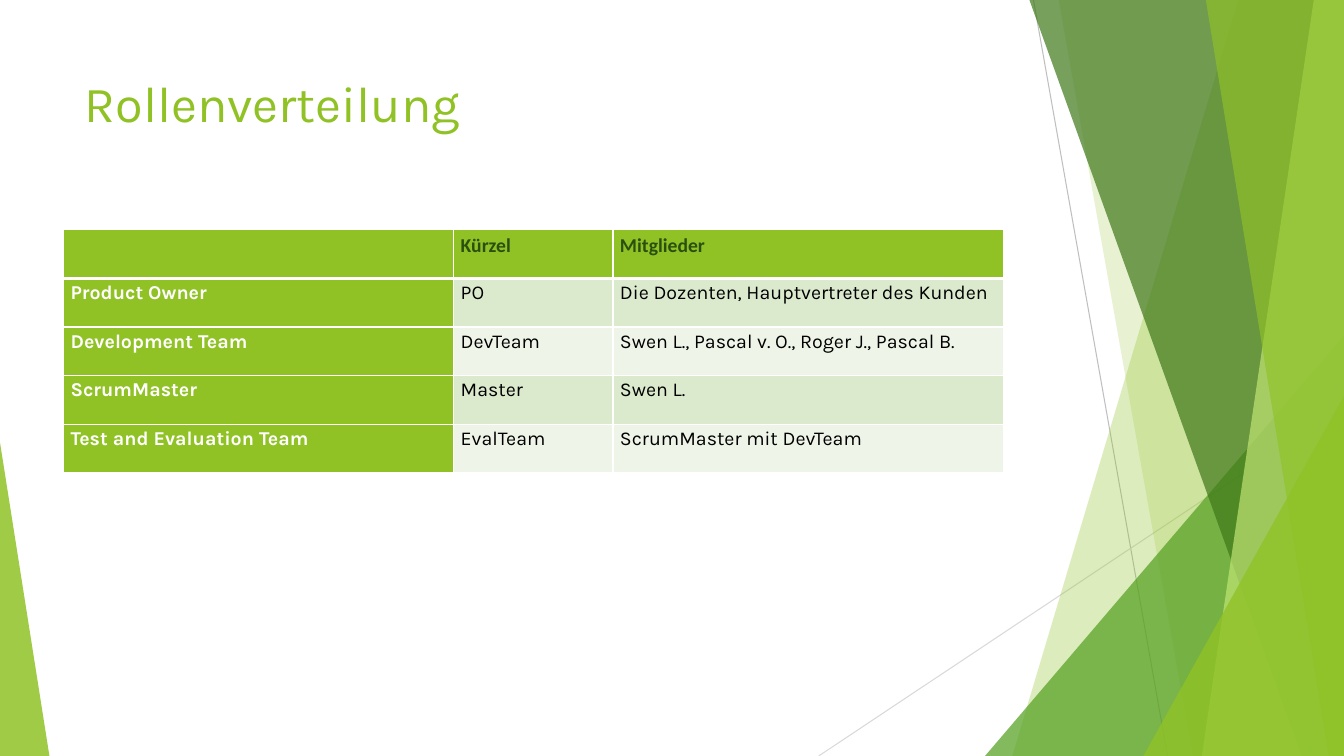
import pptx
import pptx.util
import pptx.oxml
import pptx.oxml.ns
import pptx.dml.color
import pptx.enum.shapes
import pptx.enum.text
from lxml import etree

Inches = pptx.util.Inches
Pt = pptx.util.Pt
qn = pptx.oxml.ns.qn
SHAPE = pptx.enum.shapes.MSO_SHAPE
LIME = "90C226"


def color(code):
    return pptx.dml.color.RGBColor.from_string(code)


def style(font, **look):
    font.color.rgb = color(look.pop("color"))
    for key, value in look.items():
        setattr(font, key, value)


def paint(shape, code, alpha):
    shape.shadow.inherit = False
    shape.fill.solid()
    shape.fill.fore_color.rgb = color(code)
    shape.line.fill.background()
    tint = shape.fill._xPr.find(".//" + qn("a:srgbClr"))
    etree.SubElement(tint, qn("a:alpha")).set("val", str(alpha * 1000))


def ray(slide, start, end, code):
    line = slide.shapes.add_connector(
        pptx.enum.shapes.MSO_CONNECTOR.STRAIGHT, *map(Inches, start + end))
    line.line.color.rgb = color(code)
    line.line.width = Pt(0.75)
    etree.SubElement(line._element.spPr, qn("a:effectLst"))


def shard(slide, box, top, foot, code, alpha):
    x, y, wide, high = box
    form = slide.shapes.build_freeform(Inches(x + top), Inches(y), scale=1)
    form.add_line_segments([(Inches(a), Inches(b)) for a, b in (
        (x + wide, y), (x + wide, y + high), (x + foot, y + high))])
    paint(form.convert_to_shape(), code, alpha)


def wedge(slide, box, apex, code, alpha):
    shape = slide.shapes.add_shape(SHAPE.ISOSCELES_TRIANGLE, *map(Inches, box))
    shape.adjustments[0] = apex
    paint(shape, code, alpha)


def decor(slide, box):
    x, y, wide, high = box
    right, foot = x + wide, y + high

    def corner(w, h, code, alpha):
        wedge(slide, (right - w, foot - h, w, h), 1, code, alpha)

    ray(slide, (x + 2.13, y), (x + 3.46, foot), "BFBFBF")
    ray(slide, (right, y + 4.03), (x, foot), "D9D9D9")
    shard(slide, box, 4.16, 1.92, LIME, 30)
    shard(slide, box, 2.38, 3.71, LIME, 20)
    corner(3.56, 4.17, "54A021", 72)
    shard(slide, box, 2.09, 4.79, "3F7819", 70)
    shard(slide, box, 4.91, 3.8, "C0E474", 70)
    shard(slide, box, 3.84, 5.06, LIME, 65)
    corner(1.99, 3.57, LIME, 80)


def title(slide, box, text):
    head = slide.shapes.title
    head.left, head.top, head.width, head.height = map(Inches, box)
    frame = head.text_frame
    frame.text = text
    frame.vertical_anchor = pptx.enum.text.MSO_ANCHOR.TOP
    para = frame.paragraphs[0]
    para.alignment = pptx.enum.text.PP_ALIGN.LEFT
    style(para.runs[0].font, name="Karla", size=Pt(36), bold=False, color=LIME)


def border(cell, foot):
    props = cell._tc.get_or_add_tcPr()
    for spot, side in enumerate("LRTB"):
        edge = etree.Element(qn("a:ln" + side))
        edge.set("w", str(Pt(foot if side == "B" else 1)))
        fill = etree.SubElement(edge, qn("a:solidFill"))
        etree.SubElement(fill, qn("a:srgbClr")).set("val", "FFFFFF")
        props.insert(spot, edge)


def roles(slide, box, cols, rows):
    grid = slide.shapes.add_table(len(rows), len(cols), *map(Inches, box)).table
    for col, wide in zip(grid.columns, cols):
        col.width = Inches(wide)
    for r, row in enumerate(rows):
        grid.rows[r].height = Inches(box[3] / len(rows))
        for c, text in enumerate(row):
            cell = grid.cell(r, c)
            edge = r == 0 or c == 0
            cell.fill.solid()
            cell.fill.fore_color.rgb = color(
                LIME if edge else "DBE9CD" if r % 2 else "EEF4E8")
            border(cell, 1 if r else 3)
            if not text:
                continue
            cell.margin_left = cell.margin_right = Inches(0.07)
            cell.margin_top = cell.margin_bottom = 0
            para = cell.text_frame.paragraphs[0]
            para.line_spacing = 1.15
            run = para.add_run()
            run.text = text
            style(run.font, name="Karla" if r else "Calibri", size=Pt(14), bold=edge,
                  color="2A5010" if r == 0 else "FFFFFF" if c == 0 else "000000")


deck = pptx.Presentation()
deck.slide_width, deck.slide_height = Inches(13.33), Inches(7.5)
slide = deck.slides.add_slide(deck.slide_layouts[5])
decor(slide, (8.12, 0, 5.21, 7.5))
wedge(slide, (0, 4.39, 0.49, 3.11), 0, LIME, 85)
title(slide, (0.74, 0.67, 9.4, 1.44), "Rollenverteilung")
roles(slide, (0.63, 2.28, 9.32, 2.41), (3.87, 1.58, 3.87), (
    ("", "Kürzel", "Mitglieder"),
    ("Product Owner", "PO", "Die Dozenten, Hauptvertreter des Kunden"),
    ("Development Team", "DevTeam", "Swen L., Pascal v. O., Roger J., Pascal B."),
    ("ScrumMaster", "Master", "Swen L."),
    ("Test and Evaluation Team", "EvalTeam", "ScrumMaster mit DevTeam"),
))
deck.save("out.pptx")
